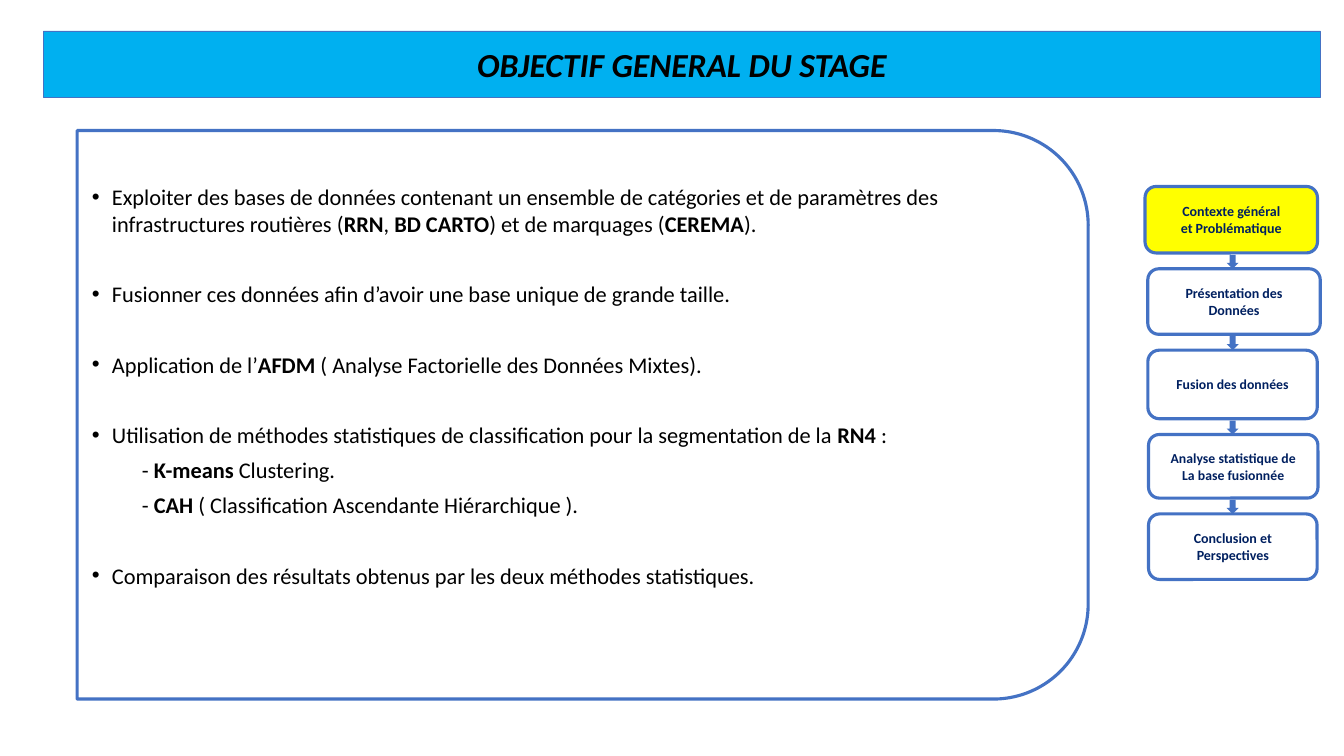
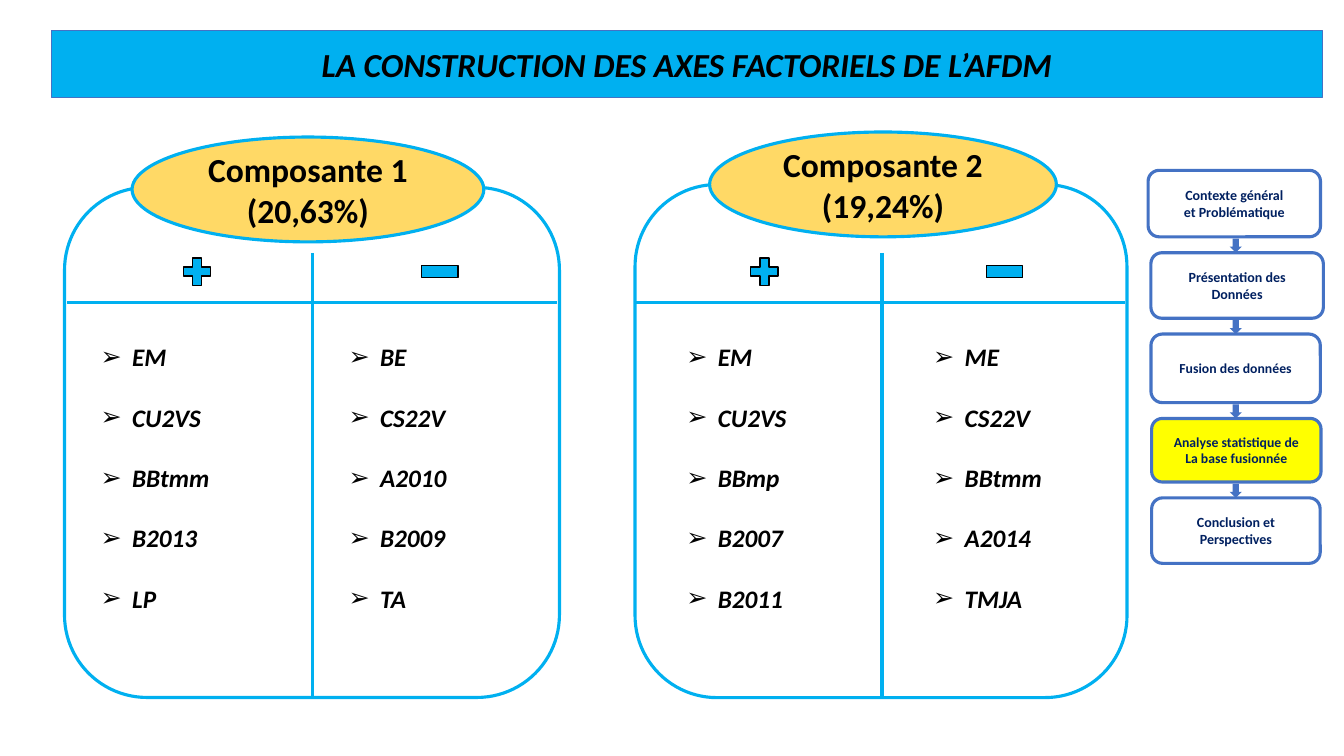
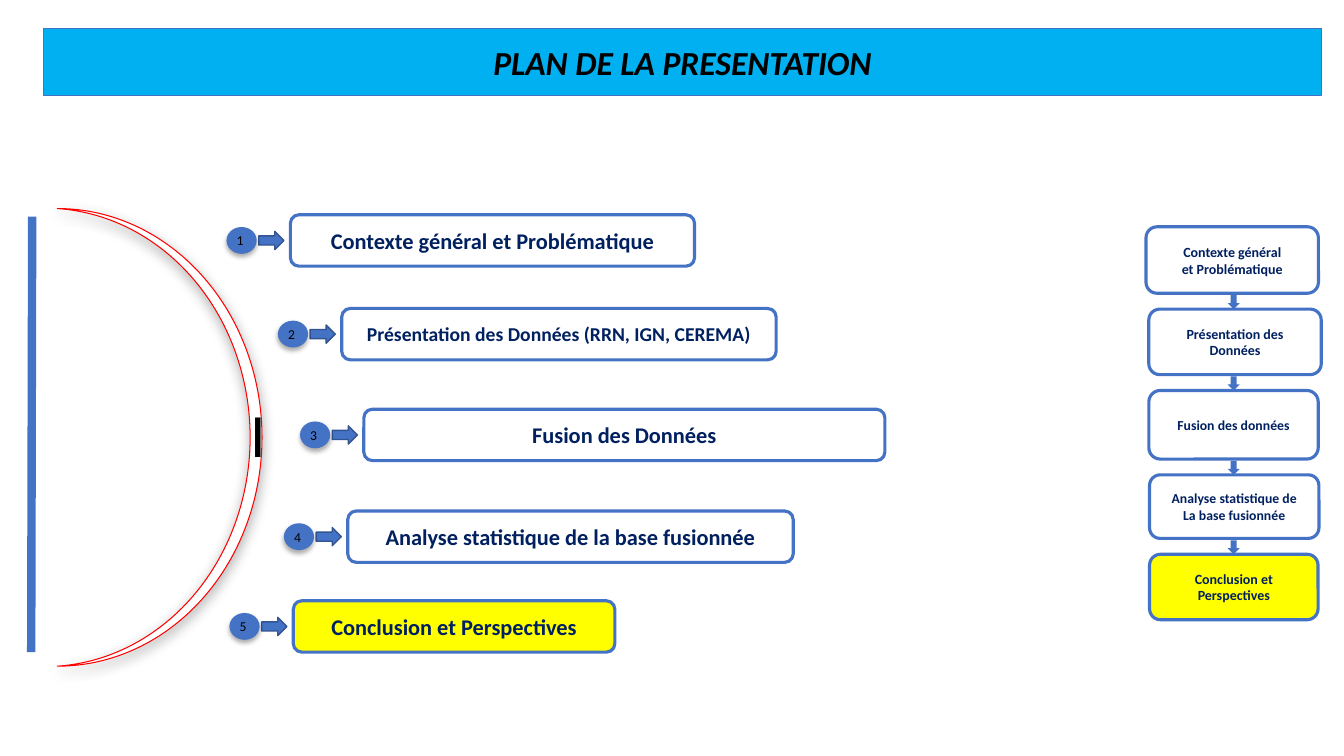
from itertools import pairwise

from lxml import etree
from pptx import Presentation
from pptx.dml.color import RGBColor
from pptx.enum.shapes import MSO_CONNECTOR, MSO_SHAPE as SHAPE
from pptx.enum.text import MSO_ANCHOR as ANCHOR, MSO_AUTO_SIZE, PP_ALIGN as ALIGN
from pptx.oxml.ns import qn
from pptx.util import Pt

COLORS = {
    "black": "000000", "white": "FFFFFF", "navy": "002060", "blue": "4472C4",
    "dark_blue": "325491", "sky": "00B0F0", "yellow": "FFFF00", "gold": "FFD966", "red": "FF0000",
}
FONT = "Calibri"

TITLES = {
    "objective": ("OBJECTIF GENERAL DU STAGE", (31, 22, 912.2, 47.6)),
    "axes": ("LA CONSTRUCTION DES AXES FACTORIELS DE L’AFDM", (36.6, 21.8, 908, 47.6)),
    "plan": ("PLAN DE LA PRESENTATION", (31, 20.2, 913, 47.6)),
}

STEPS = [
    (["Contexte général", "et Problématique"], 10, 0, 123.2, 47.5),
    (["Présentation des", "Données"], 10, 2, 123.2, 46.8),
    (["Fusion des données"], 9.8, 2, 121, 49),
    (["Analyse statistique de", "La base fusionnée"], 9.8, 2.5, 121, 45.4),
    (["Conclusion et Perspectives"], 10, 2.5, 120.4, 46.8),
]
STEP_GAP = 11.3

OBJECTIVES = [
    ("bullet", [
        ("Exploiter des bases de données contenant un ensemble de catégories et de paramètres des "
         "infrastructures routières (", False),
        ("RRN", True), (", ", False), ("BD CARTO", True), (") et de marquages (", False),
        ("CEREMA", True), (").", False)]),
    ("bullet", [("Fusionner ces données afin d’avoir une base unique de grande taille.", False)]),
    ("bullet", [("Application de l’", False), ("AFDM", True),
                (" ( Analyse Factorielle des Données Mixtes).", False)]),
    ("bullet", [("Utilisation de méthodes statistiques de classification pour la segmentation de la ", False),
                ("RN4", True), (" :", False)]),
    ("dash", [("- ", False), ("K-means", True), (" Clustering.", False)]),
    ("dash", [("- ", False), ("CAH", True), (" ( Classification Ascendante Hiérarchique ).", False)]),
    ("bullet", [("Comparaison des résultats obtenus par les deux méthodes statistiques.", False)]),
]
OBJECTIVE_STYLES = {
    "bullet": {"bullet": "•", "margin": 15.2, "hanging": 14.4, "before": 31},
    "dash": {"margin": 36.6, "before": 6},
}

COMPONENTS = [
    {"label": "Composante 1 (20,63%)", "card": (46.1, 133.9, 353.5, 364.3),
     "oval": (94.3, 97.9, 251.3, 74.9), "divider": 223.2, "rule": (48.2, 398.2),
     "plus": 127.4, "minus": 296.6,
     "lists": [(64.8, ["EM", "CU2VS", "BBtmm", "B2013", "LP"]),
               (241.9, ["BE", "CS22V", "A2010", "B2009", "TA"])]},
    {"label": "Composante 2 (19,24%)", "card": (453.6, 131.8, 351.4, 366.5),
     "oval": (506.9, 94.3, 247.7, 74.9), "divider": 630, "rule": (453.6, 803.5),
     "plus": 532.8, "minus": 699.8,
     "lists": [(483.1, ["EM", "CU2VS", "BBmp", "B2007", "B2011"]),
               (659.5, ["ME", "CS22V", "BBtmm", "A2014", "TMJA"])]},
]

PLAN = [
    ("Contexte général et Problématique", 16, 207.4, 153.4, 288.7),
    ("Présentation des Données (RRN, IGN, CEREMA)", 14, 244.1, 220.3, 310.3),
    ("Fusion des Données", 16, 259.9, 292.3, 372.2),
    ("Analyse statistique de la base fusionnée", 16, 248.4, 365, 318.2),
    ("Conclusion et Perspectives", 16, 209.5, 429.1, 229.7),
]
PLAN_HEIGHT = 36.7


def color(name):
    return RGBColor.from_string(COLORS[name])


def points(box):
    return [Pt(value) for value in box]


def style(shape, fill, line=None, width=2.25):
    shape.fill.solid()
    shape.fill.fore_color.rgb = color(fill)
    if line:
        shape.line.color.rgb = color(line)
        shape.line.width = Pt(width)
    else:
        shape.line.fill.background()


def add_shape(slide, kind, box, fill, line=None, width=2.25):
    shape = slide.shapes.add_shape(kind, *points(box))
    shape.shadow.inherit = False
    style(shape, fill, line, width)
    return shape


def add_shadow(shape, blur, distance, opacity):
    effects = shape._element.spPr.find(qn("a:effectLst"))
    shadow = etree.SubElement(effects, qn("a:outerShdw"), blurRad=str(Pt(blur)),
                              dist=str(Pt(distance)), dir="5400000", rotWithShape="0")
    tint = etree.SubElement(shadow, qn("a:srgbClr"), val=COLORS["black"])
    etree.SubElement(tint, qn("a:alpha"), val=str(opacity * 1000))


def add_line(slide, x1, y1, x2, y2, stroke, width=2.25):
    line = slide.shapes.add_connector(MSO_CONNECTOR.STRAIGHT, *points((x1, y1, x2, y2)))
    line.line.color.rgb = color(stroke)
    line.line.width = Pt(width)
    etree.SubElement(line._element.spPr, qn("a:effectLst"))


def write(paragraph, text, size=16, ink="black", bold=False, italic=False, align=ALIGN.LEFT,
          bullet=None, margin=0, hanging=0, before=0):
    paragraph.alignment = align
    if margin:
        properties = paragraph._p.get_or_add_pPr()
        properties.set("marL", str(Pt(margin)))
        properties.set("indent", str(-Pt(hanging)))
        if bullet:
            etree.SubElement(properties, qn("a:buFont"), typeface="Arial")
            etree.SubElement(properties, qn("a:buChar"), char=bullet)
    if before:
        paragraph.space_before = Pt(before)
    for content, strong in [(text, bold)] if isinstance(text, str) else text:
        run = paragraph.add_run()
        run.text = content
        font = run.font
        font.name, font.size = FONT, Pt(size)
        font.bold, font.italic = strong, italic
        font.color.rgb = color(ink)


def paragraphs_of(frame, count):
    return [frame.paragraphs[0]] + [frame.add_paragraph() for _ in range(count - 1)]


def add_label(shape, lines, **text_format):
    frame = shape.text_frame
    frame.word_wrap = True
    frame.vertical_anchor = ANCHOR.MIDDLE
    for paragraph, line in zip(paragraphs_of(frame, len(lines)), lines):
        write(paragraph, line, align=ALIGN.CENTER, **text_format)


def set_margins(frame, left, top, right, bottom):
    frame.margin_left, frame.margin_top, frame.margin_right, frame.margin_bottom = points(
        (left, top, right, bottom))


def add_text_box(slide, box, anchor=ANCHOR.TOP):
    frame = slide.shapes.add_textbox(*points(box)).text_frame
    frame.word_wrap = True
    frame.vertical_anchor = anchor
    return frame


def new_slide(presentation, key):
    text, box = TITLES[key]
    slide = presentation.slides.add_slide(presentation.slide_layouts[5])
    title = slide.shapes.title
    title.left, title.top, title.width, title.height = points(box)
    geometry = etree.SubElement(title._element.spPr, qn("a:prstGeom"), prst="roundRect")
    etree.SubElement(geometry, qn("a:avLst"))
    style(title, "sky", "blue", 0.25)
    add_label(title, [text], size=24, bold=True, italic=True)
    title.text_frame.auto_size = MSO_AUTO_SIZE.NONE
    return slide


def add_steps(slide, left, top, active):
    tops = [top]
    for index, (lines, size, shift, width, height) in enumerate(STEPS):
        fill = "yellow" if index == active else "white"
        box = add_shape(slide, SHAPE.ROUNDED_RECTANGLE, (left + shift, tops[-1], width, height), fill, "blue")
        add_label(box, lines, size=size, ink="navy", bold=True)
        tops.append(tops[-1] + height + STEP_GAP)
    for _, next_top in pairwise(tops[:-1]):
        add_shape(slide, SHAPE.DOWN_ARROW, (left + 58.3, next_top - 10, 8.6, 10), "blue")


def build_objective(presentation):
    slide = new_slide(presentation, "objective")
    panel = add_shape(slide, SHAPE.ROUND_2_SAME_RECTANGLE, (213.1, -64.8, 406.1, 722.2), "white", "blue")
    panel.rotation = 90
    frame = add_text_box(slide, (58.3, 97.2, 686.2, 357.1), ANCHOR.MIDDLE)
    set_margins(frame, 6.5, 0.7, 0.7, 0.7)
    for index, (paragraph, (kind, runs)) in enumerate(
            zip(paragraphs_of(frame, len(OBJECTIVES)), OBJECTIVES)):
        text_format = dict(OBJECTIVE_STYLES[kind])
        if index == 0:
            text_format["before"] = 0
        write(paragraph, runs, **text_format)
    add_steps(slide, 817.9, 133.2, active=0)


def build_axes(presentation):
    slide = new_slide(presentation, "axes")
    for component in COMPONENTS:
        add_shape(slide, SHAPE.ROUNDED_RECTANGLE, component["card"], "white", "sky")
        oval = add_shape(slide, SHAPE.OVAL, component["oval"], "gold", "sky")
        add_label(oval, [component["label"]], size=24, bold=True)
        divider, (rule_start, rule_end) = component["divider"], component["rule"]
        add_line(slide, divider, 180.7, divider, 498.2, "sky")
        add_line(slide, rule_start, 216, rule_end, 216, "sky")
        add_shape(slide, SHAPE.MATH_PLUS, (component["plus"], 180.7, 26.6, 26.6), "sky", "black", 1)
        add_shape(slide, SHAPE.MATH_MINUS, (component["minus"], 175.7, 35.3, 36.7), "sky", "black", 1)
        for left, items in component["lists"]:
            frame = add_text_box(slide, (left, 240.5, 134, 225.4))
            for index, (paragraph, item) in enumerate(zip(paragraphs_of(frame, len(items)), items)):
                write(paragraph, item, size=18, bold=True, italic=True, bullet="➢",
                      margin=22.5, hanging=22.5, before=21.5 if index else 0)
    add_steps(slide, 820.1, 121.7, active=3)


def build_plan(presentation):
    slide = new_slide(presentation, "plan")
    add_line(slide, 23, 154.8, 22.3, 465.8, "blue", 6)
    moon = add_shape(slide, SHAPE.MOON, (41, 149, 146.2, 326.9), "white", "red", 0.75)
    moon.adjustments[0] = 0.058
    moon._element.spPr.find(qn("a:xfrm")).set("flipH", "1")
    add_shadow(moon, 10, 3, 32)
    frame = moon.text_frame
    frame.word_wrap = False
    frame.vertical_anchor = ANCHOR.MIDDLE
    write(frame.paragraphs[0], "I", size=44)
    frame.paragraphs[0].line_spacing = 0.9
    for number, (text, size, left, top, width) in enumerate(PLAN, 1):
        middle = top + PLAN_HEIGHT / 2
        fill = "yellow" if number == len(PLAN) else "white"
        box = add_shape(slide, SHAPE.ROUNDED_RECTANGLE, (left, top, width, PLAN_HEIGHT), fill, "blue")
        add_label(box, [text], size=size, ink="navy", bold=True)
        arrow_left = left - 22.6
        add_shape(slide, SHAPE.RIGHT_ARROW, (arrow_left, middle - 6.5, 18, 13), "blue", "dark_blue", 1)
        badge = add_shape(slide, SHAPE.OVAL, (arrow_left - 23, middle - 9.6, 21.6, 19.2), "blue")
        add_shadow(badge, 3.5, 2.2, 32)
        set_margins(badge.text_frame, 0, 0, 2, 0)
        add_label(badge, [str(number)], size=9.7)
    add_steps(slide, 818.6, 162, active=4)


def main():
    presentation = Presentation()
    presentation.slide_width, presentation.slide_height = Pt(960), Pt(540)
    build_objective(presentation)
    build_axes(presentation)
    build_plan(presentation)
    presentation.save("out.pptx")


if __name__ == "__main__":
    main()
